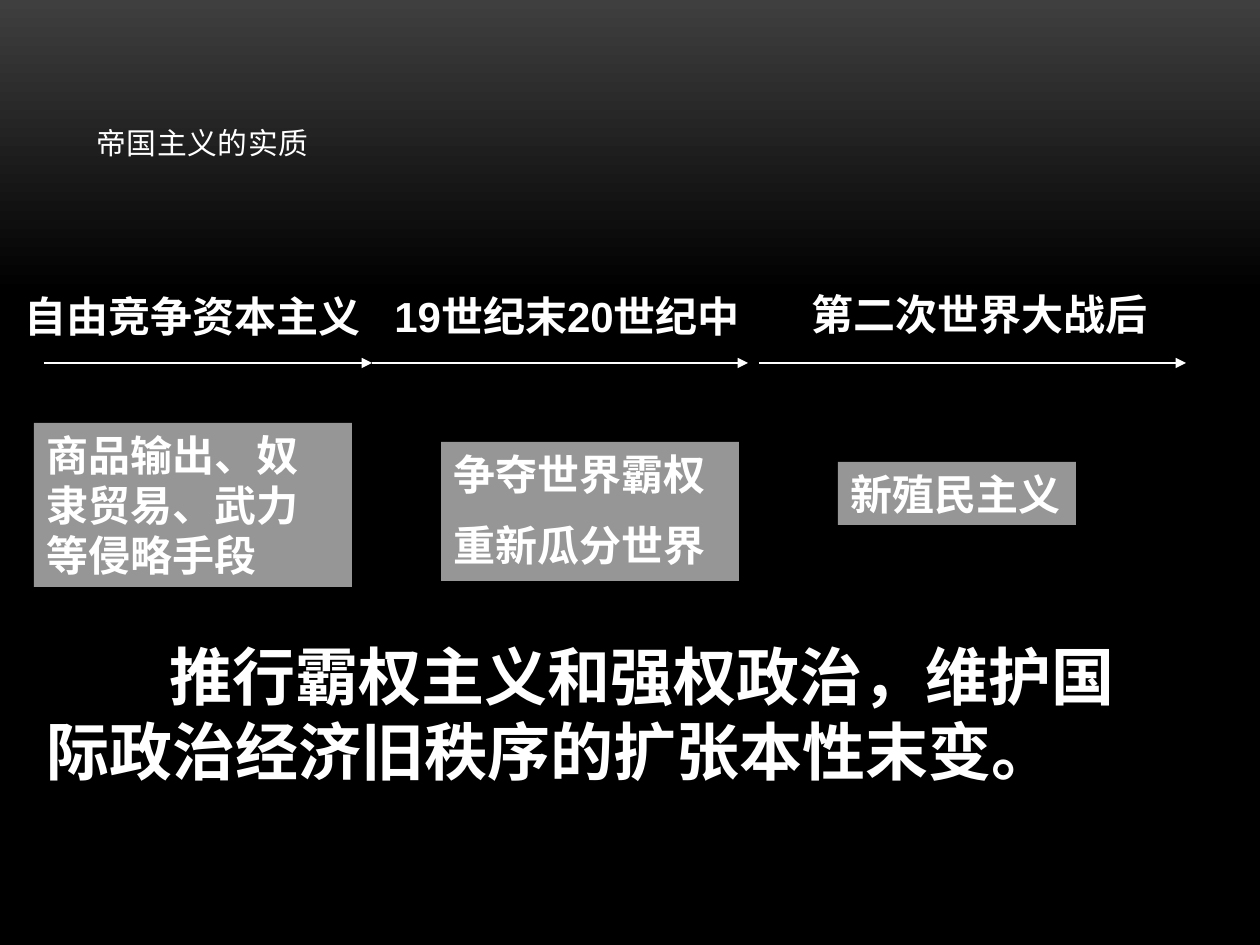
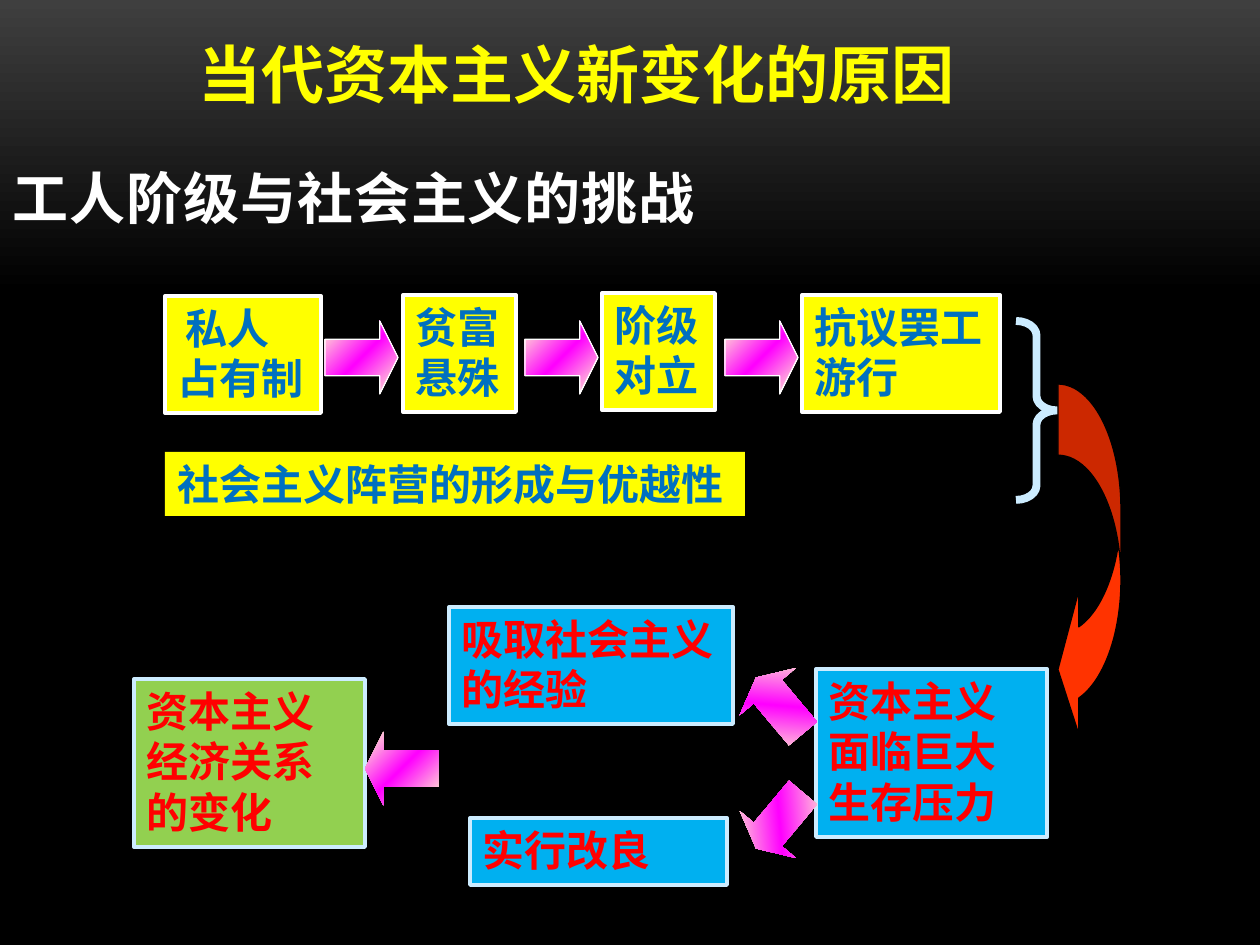
from lxml import etree
from pptx import Presentation
from pptx.dml.color import RGBColor
from pptx.enum.shapes import MSO_CONNECTOR, MSO_SHAPE as SHAPE
from pptx.enum.text import MSO_ANCHOR, MSO_AUTO_SIZE, PP_ALIGN
from pptx.oxml.ns import qn
from pptx.util import Pt

PX = 914400 / 126
COLORS = {
    "white": "FFFFFF", "black": "000000", "charcoal": "3F3F3F", "gray": "969696",
    "yellow": "FFFF00", "blue": "0070C0", "sky": "00B0F0", "ice": "CCECFF",
    "green": "92D050", "red": "FF0000", "orange": "FF3300",
    "cream": "FFFFCC", "magenta": "FF00FF",
}
BACKDROP = [(0, "charcoal"), (31, "black"), (100, "black")]
GLOW = [(0, "cream"), (50, "magenta"), (100, "cream")]

# Content: boxes are (left, top, width, height) in px
ESSENCE_TITLE = "帝国主义的实质"
PERIODS = [
    ((12, 284, 419, 63), "自由竞争资本主义"),
    ((382, 284, 466, 63), "19世纪末20世纪中"),
    ((799, 282, 440, 63), "第二次世界大战后"),
]
TIMELINE_Y = 363
TIMELINE = [(44, 372), (372, 748), (759, 1186)]
MEANS = [
    ((34, 423, 318, 164), ["商品输出、奴隶贸易、武力等侵略手段"]),
    ((441, 442, 298, 139), ["争夺世界霸权", "重新瓜分世界"]),
    ((838, 462, 238, 63), ["新殖民主义"]),
]
CONCLUSION = "推行霸权主义和强权政治，维护国际政治经济旧秩序的扩张本性末变。"

CAUSES_TITLE = "当代资本主义新变化的原因"
CHALLENGE = "工人阶级与社会主义的挑战"
CONFLICT_STEPS = [
    ((165, 296, 156, 117), ["私人", "占有制"]),
    ((403, 295, 113, 117), ["贫富", "悬殊"]),
    ((602, 293, 113, 117), ["阶级", "对立"]),
    ((802, 295, 198, 117), ["抗议罢工", "游行"]),
]
CAMP = ((165, 452, 580, 64), ["社会主义阵营的形成与优越性"])
RESPONSES = [
    ((816, 669, 231, 168), "sky", "资本主义面临巨大生存压力"),
    ((449, 607, 284, 117), "sky", "吸取社会主义的经验"),
    ((470, 818, 257, 67), "sky", "实行改良"),
    ((134, 679, 231, 168), "green", "资本主义经济关系的变化"),
]
ARROW_SIZE = 73
STEP_ARROWS = [(325 + 200 * i, 321, 0) for i in range(3)]
RESPONSE_ARROWS = [(365, 732, 180), (743, 669, 230), (743, 784, 130)]


def emu(*values):
    return [round(v * PX) for v in values]


def rgb(name):
    return RGBColor.from_string(COLORS[name])


def set_gradient(fill, owner, stops, angle):
    """Fill with any number of (percent, colour) stops, angle clockwise."""
    fill.gradient()
    fill.gradient_angle = (360 - angle) % 360
    gs_list = next(owner.iter(qn("a:gsLst")))
    for old in list(gs_list):
        gs_list.remove(old)
    for percent, color in stops:
        gs = etree.SubElement(gs_list, qn("a:gs"), pos=str(percent * 1000))
        etree.SubElement(gs, qn("a:srgbClr"), val=COLORS[color])


def write(sp, lines, size, color, font, gap=0, bold=True, spacing=0):
    tf = sp.text_frame
    tf.word_wrap = True
    tf.auto_size = MSO_AUTO_SIZE.NONE
    tf.vertical_anchor = MSO_ANCHOR.TOP
    for i, line in enumerate(lines):
        p = tf.add_paragraph() if i else tf.paragraphs[0]
        p.alignment = PP_ALIGN.LEFT
        p.space_before = Pt(gap if i else 0)
        r = p.add_run()
        r.text = line
        r.font.size, r.font.bold, r.font.name = Pt(size), bold, font
        r.font.color.rgb = rgb(color)
        if spacing:
            r._r.get_or_add_rPr().set("spc", str(spacing))
    return tf


def add_text(slide, box, text, size, color, font):
    return write(slide.shapes.add_textbox(*emu(*box)), [text], size, color, font)


def add_shape(slide, kind, box, fill=None, line=None, width=0.75):
    sp = slide.shapes.add_shape(kind, *emu(*box))
    sp.shadow.inherit = False
    if fill:
        sp.fill.solid()
        sp.fill.fore_color.rgb = rgb(fill)
    else:
        sp.fill.background()
    if line:
        sp.line.color.rgb = rgb(line)
        sp.line.width = Pt(width)
    else:
        sp.line.fill.background()
    return sp


def set_title(slide, box, text, size, font, **style):
    sp = slide.shapes.title
    sp.left, sp.top, sp.width, sp.height = emu(*box)
    return write(sp, [text], size, "white", font, **style)


def add_timeline_arrow(slide, x1, x2):
    line = slide.shapes.add_connector(
        MSO_CONNECTOR.STRAIGHT, *emu(x1, TIMELINE_Y, x2, TIMELINE_Y))
    line.line.color.rgb = rgb("white")
    line.line.width = Pt(0.75)
    etree.SubElement(line.line._get_or_add_ln(), qn("a:tailEnd"), type="triangle")
    etree.SubElement(line._element.spPr, qn("a:effectLst"))


def add_glow_arrow(slide, x, y, rotation, line=None):
    sp = add_shape(slide, SHAPE.RIGHT_ARROW, (x, y, ARROW_SIZE, ARROW_SIZE), line=line)
    sp.adjustments[0], sp.adjustments[1] = 0.5, 0.25
    sp.rotation = rotation
    set_gradient(sp.fill, sp._element, GLOW, 45)


def build_essence(slide):
    set_title(slide, (84, 115, 1111, 79), ESSENCE_TITLE, 17, "Quicksand",
              bold=False, spacing=30).paragraphs[0].line_spacing = 1.1
    # Periods along the timeline
    for x1, x2 in TIMELINE:
        add_timeline_arrow(slide, x1, x2)
    for box, text in PERIODS:
        add_text(slide, box, text, 24, "white", "Arial")
    # Means used in each period
    for box, lines in MEANS:
        sp = add_shape(slide, SHAPE.RECTANGLE, box, "gray")
        write(sp, lines, 24, "white", "Arial", gap=12)
    # Conclusion with an indented first line
    tf = add_text(slide, (34, 631, 1142, 164), CONCLUSION, 36, "white", "Arial")
    tf.paragraphs[0]._p.get_or_add_pPr().set("indent", str(emu(123)[0]))


def build_causes(slide):
    serif = "Times New Roman"
    set_title(slide, (0, 157, 1012, 115), CHALLENGE, 32, "Noto Sans CJK SC", spacing=50)
    add_text(slide, (186, 29, 816, 90), CAUSES_TITLE, 36, "yellow", serif)
    # Conflict chain
    frames = []
    for box, lines in CONFLICT_STEPS:
        sp = add_shape(slide, SHAPE.RECTANGLE, box, "yellow", "white", 2.25)
        frames.append(write(sp, lines, 24, "blue", serif))
    frames[0].paragraphs[0]._p.get_or_add_pPr().set("marL", str(emu(8)[0]))
    for x, y, rotation in STEP_ARROWS:
        add_glow_arrow(slide, x, y, rotation, "white")
    box, lines = CAMP
    write(add_shape(slide, SHAPE.RECTANGLE, box, "yellow"), lines, 24, "blue", serif)
    # Brace and curved arrow down to the responses
    brace = add_shape(slide, SHAPE.RIGHT_BRACE, (1016, 321, 41, 179), line="ice", width=4.5)
    brace.adjustments[0], brace.adjustments[1] = 0.35, 0.5
    curve = add_shape(slide, SHAPE.CURVED_LEFT_ARROW, (1058, 384, 63, 357), "orange", "black")
    for i, value in enumerate((1.13, 2.27, 0.33)):
        curve.adjustments[i] = value
    # Responses
    for box, fill, text in RESPONSES:
        sp = add_shape(slide, SHAPE.RECTANGLE, box, fill, "ice", 2.25)
        write(sp, [text], 24, "red", serif)
    for x, y, rotation in RESPONSE_ARROWS:
        add_glow_arrow(slide, x, y, rotation)


def main():
    prs = Presentation()
    prs.slide_width, prs.slide_height = emu(1260, 945)
    master = prs.slide_master
    set_gradient(master.background.fill, master.element, BACKDROP, 90)
    title_only = prs.slide_layouts[5]
    for build in (build_essence, build_causes):
        build(prs.slides.add_slide(title_only))
    prs.save("out.pptx")


if __name__ == "__main__":
    main()
